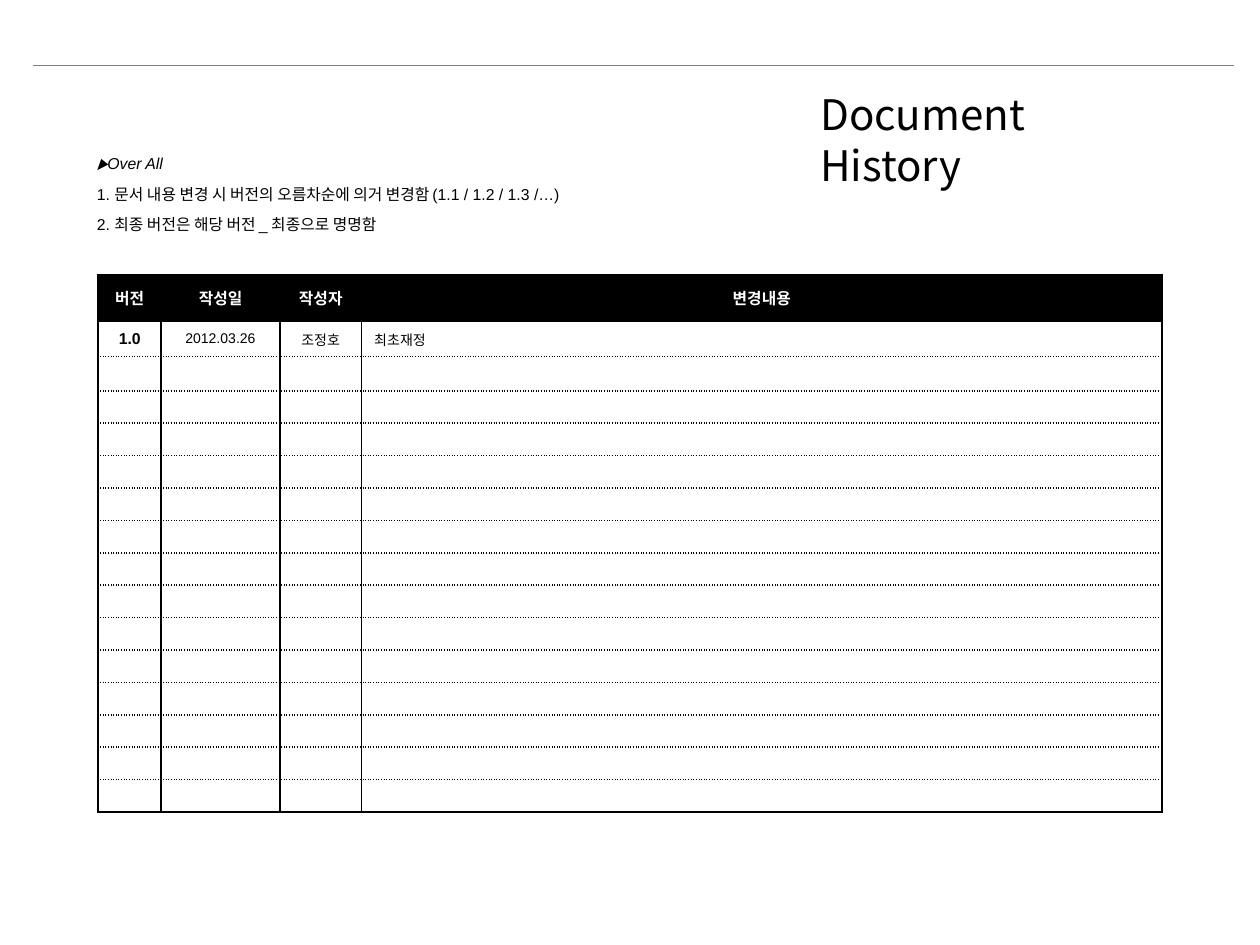
from lxml import etree
from pptx import Presentation
from pptx.dml.color import RGBColor as RGB
from pptx.enum.shapes import MSO_CONNECTOR as CONN
from pptx.enum.text import MSO_ANCHOR as ANCHOR, MSO_AUTO_SIZE as AUTO, PP_ALIGN as ALIGN
from pptx.oxml.ns import qn
from pptx.util import Cm, Pt

# Content
TITLE = "Document History"
LATIN, HANGUL = "Arial", "Noto Sans CJK KR"
NOTES = [
    [("▶Over All", LATIN)],
    [("1. ", LATIN), ("문서 내용 변경 시 버전의 오름차순에 의거 변경함 ", HANGUL),
     ("(1.1 / 1.2 / 1.3 /…)", LATIN)],
    [("2. ", LATIN), ("최종 버전은 해당 버전 ", HANGUL), ("_", LATIN),
     (" 최종으로 명명함", HANGUL)],
]
HEADER = ["버전", "작성일", "작성자", "변경내용"]
HISTORY = [["1.0", "2012.03.26", "조정호", "최초재정"]]
EMPTY_ROWS = 14

# Theme
THEME = {
    "black": RGB(0, 0, 0), "white": RGB(255, 255, 255), "rule": RGB(128, 128, 128),
    "title": Pt(24), "text": Pt(9), "cell": Pt(8),
    "title_pitch": Pt(29.2), "text_pitch": Pt(17.4), "border": Pt(1),
}

# Layout
RULE = (0.66, 1.32, 24.87, 1.32)
TITLE_BOX = (16.28, 1.65, 7.59, 1.27)
NOTES_BOX = (1.7, 2.54, 10.46, 2.39)
TABLE_AT = (1.98, 5.54)
TABLE_HEIGHT = 10.84
COLS = [1.27, 2.39, 1.65, 16.13]
TOP_ROWS = [0.94, 0.71, 0.69]


def set_all(obj, values):
    for name, value in values.items():
        setattr(obj, name, value)


def add_run(p, text, font, size, color="black", **values):
    r = p.add_run()
    r.text = text
    set_all(r.font, {"name": font, "size": THEME[size], **values})
    r.font.color.rgb = THEME[color]
    ea = etree.SubElement(r._r.get_or_add_rPr(), qn("a:ea"))
    ea.set("typeface", HANGUL)


def place(sp, box, **frame):
    set_all(sp, dict(zip(("left", "top", "width", "height"), map(Cm, box))))
    tf = sp.text_frame
    set_all(tf, {"word_wrap": True, "auto_size": AUTO.NONE,
                 "vertical_anchor": ANCHOR.TOP, **frame})
    return tf


def format_line(p, pitch):
    set_all(p, {"alignment": ALIGN.LEFT, "line_spacing": THEME[pitch],
                "space_before": Pt(0), "space_after": Pt(0)})


def add_border(cell, side, dash):
    ln = etree.SubElement(cell._tc.get_or_add_tcPr(), qn(f"a:ln{side}"),
                          w=str(int(THEME["border"])))
    fill = etree.SubElement(ln, qn("a:solidFill"))
    etree.SubElement(fill, qn("a:srgbClr"), val=str(THEME["black"]))
    etree.SubElement(ln, qn("a:prstDash"), val=dash)


def format_cell(cell, row, last):
    dashes = {
        "L": "solid", "R": "solid",
        "T": "solid" if row <= 1 else "sysDot",
        "B": "solid" if row in (0, last) else "sysDot",
    }
    for side, dash in dashes.items():
        add_border(cell, side, dash)
    cell.fill.solid()
    cell.fill.fore_color.rgb = THEME["white" if row else "black"]
    set_all(cell, {"vertical_anchor": ANCHOR.MIDDLE,
                   "margin_top": Cm(0.05), "margin_bottom": Cm(0.05)})


def fill_cell(cell, text, row, col):
    p = cell.text_frame.paragraphs[0]
    if not text:
        end = etree.SubElement(p._p, qn("a:endParaRPr"))
        end.set("sz", str(int(THEME["cell"].pt * 100)))
        return
    strong = row == 0 or col == 0
    p.alignment = ALIGN.LEFT if row and col == len(COLS) - 1 else ALIGN.CENTER
    font = HANGUL if row and col >= 2 else LATIN
    add_run(p, text, font, "text" if strong else "cell",
            "black" if row else "white", bold=strong)


def main():
    prs = Presentation()
    set_all(prs, {"slide_width": Cm(25.4), "slide_height": Cm(19.05)})
    s = prs.slides.add_slide(prs.slide_layouts[1])
    title, body = s.placeholders

    # Top rule
    rule = s.shapes.add_connector(CONN.STRAIGHT, *map(Cm, RULE))
    rule.line.width = THEME["border"]
    rule.line.color.rgb = THEME["rule"]
    etree.SubElement(rule._element.spPr, qn("a:effectLst"))

    # Title
    tf = place(title, TITLE_BOX, margin_right=Cm(0.6))
    format_line(tf.paragraphs[0], "title_pitch")
    add_run(tf.paragraphs[0], TITLE, HANGUL, "title")

    # Versioning notes
    tf = place(body, NOTES_BOX, margin_top=Cm(0.33), margin_bottom=Cm(0.23))
    for i, parts in enumerate(NOTES):
        p = tf.add_paragraph() if i else tf.paragraphs[0]
        format_line(p, "text_pitch")
        pPr = p._p.get_or_add_pPr()
        pPr.set("marL", "0")
        pPr.set("indent", "0")
        etree.SubElement(pPr, qn("a:buNone"))
        for text, font in parts:
            add_run(p, text, font, "text", italic=i == 0)

    # Change history table
    rows = [HEADER, *HISTORY, *[[""] * len(COLS)] * EMPTY_ROWS]
    rest = len(rows) - len(TOP_ROWS)
    heights = TOP_ROWS + [(TABLE_HEIGHT - sum(TOP_ROWS)) / rest] * rest
    size = (sum(COLS), TABLE_HEIGHT)
    table = s.shapes.add_table(len(rows), len(COLS), *map(Cm, TABLE_AT + size)).table
    set_all(table, {"first_row": False, "horz_banding": False})
    for column, width in zip(table.columns, COLS):
        column.width = Cm(width)
    for i, (texts, height) in enumerate(zip(rows, heights)):
        table.rows[i].height = Cm(height)
        for j, text in enumerate(texts):
            cell = table.cell(i, j)
            format_cell(cell, i, len(rows) - 1)
            fill_cell(cell, text, i, j)

    prs.save("out.pptx")


if __name__ == "__main__":
    main()
